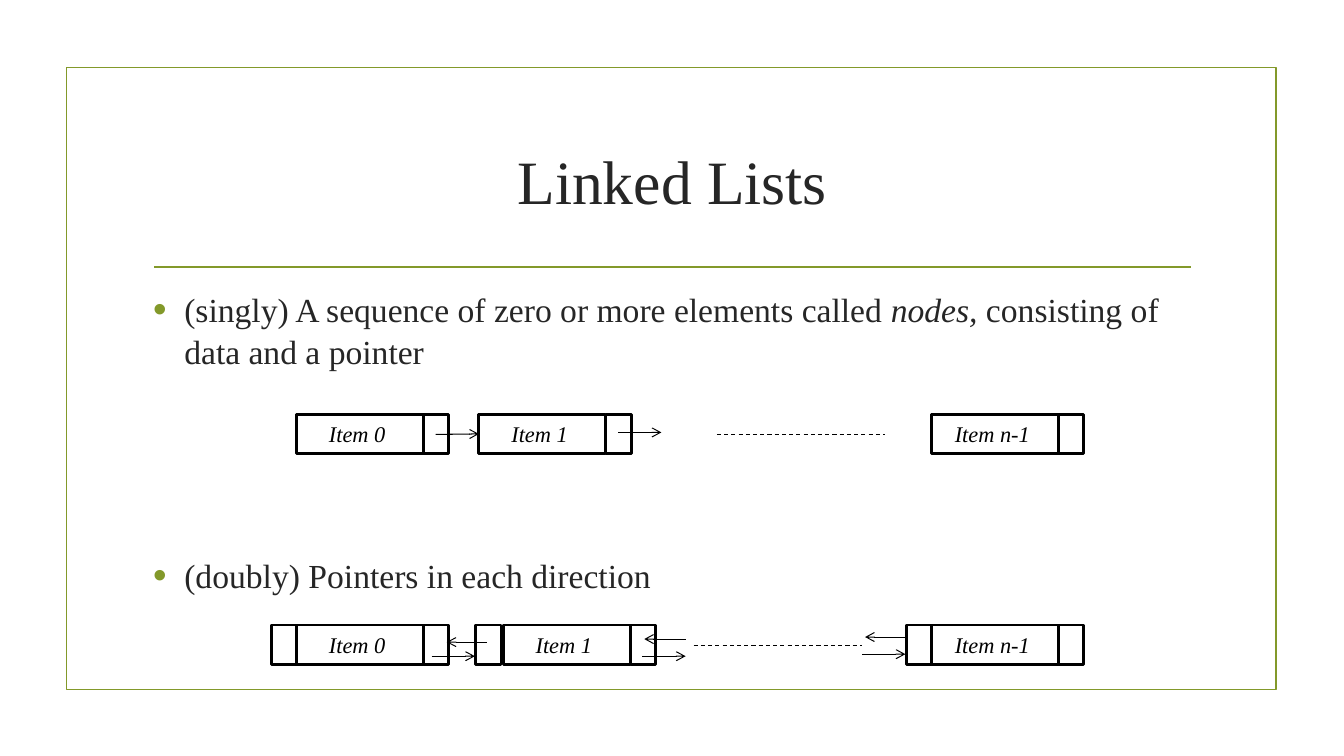
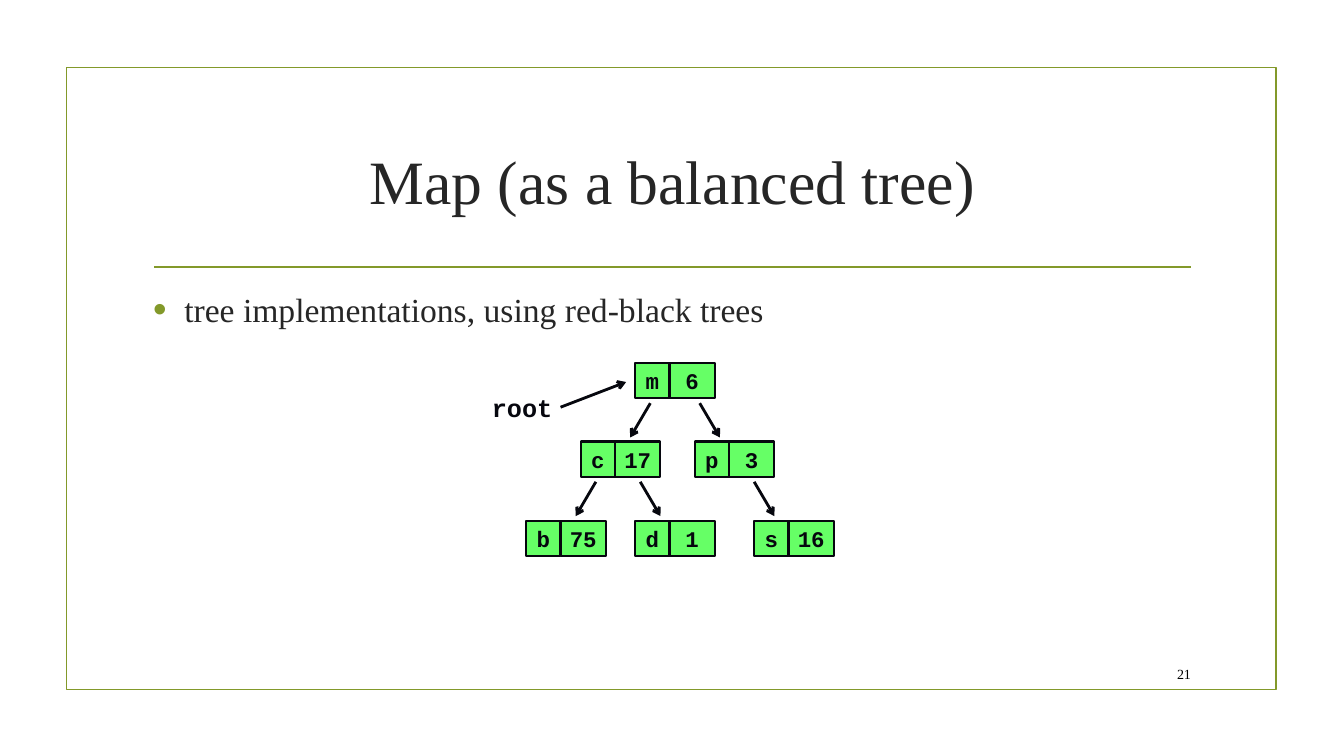
from lxml.etree import SubElement
from pptx import Presentation
from pptx.dml.color import RGBColor
from pptx.enum.dml import MSO_LINE
from pptx.enum.shapes import MSO_CONNECTOR, MSO_SHAPE
from pptx.enum.text import MSO_ANCHOR as Anchor, PP_ALIGN as Align
from pptx.oxml.ns import qn
from pptx.util import Emu, Pt

COLORS = {"olive": "83992A", "text": "262626", "black": "000000",
          "ink": "06070E", "green": "66FF66"}
SERIF, MONO = "Times New Roman", "Courier New"
TITLE_ONLY = 5
EMU_PER_PX = 9144


def px(length):
    """Turn px (100 to the inch) into EMU."""
    return Emu(length * EMU_PER_PX)


def rgb(name):
    """Look up a named colour."""
    return RGBColor.from_string(COLORS[name])


def add_span(para, text, size=24, color="text", font=SERIF, bold=False, italic=False):
    """Add one formatted run to a paragraph."""
    span = para.add_run()
    span.text = text
    span.font.name, span.font.size = font, Pt(size)
    span.font.bold, span.font.italic = bold, italic
    span.font.color.rgb = rgb(color)


class Deck:
    """Holds the shared style and the current page."""

    def __init__(self):
        """Start a widescreen deck."""
        self.deck = Presentation()
        self.deck.slide_width, self.deck.slide_height = px(1333), px(750)
        self.page = None

    def add_page(self, title):
        """Start a page with its frame, rule and title."""
        self.page = self.deck.slides.add_slide(self.deck.slide_layouts[TITLE_ONLY])
        self.add_box(66, 67, 1200, 617, line="olive", width=1.25)
        self.add_line((153, 265), (1181, 265), color="olive", width=1.25)
        box = self.page.shapes.title
        box.left, box.top, box.width, box.height = map(px, (142, 107, 1050, 143))
        frame = box.text_frame
        frame.vertical_anchor = Anchor.MIDDLE
        para = frame.paragraphs[0]
        para.alignment = Align.CENTER
        add_span(para, title, size=44)

    def add_box(self, left, top, width_px, height, text="", fill=None,
                line="black", width=2, **style):
        """Draw a rectangle with optional centred text."""
        box = self.page.shapes.add_shape(
            MSO_SHAPE.RECTANGLE, *map(px, (left, top, width_px, height)))
        box.shadow.inherit = False
        if fill:
            box.fill.solid()
            box.fill.fore_color.rgb = rgb(fill)
        else:
            box.fill.background()
        box.line.color.rgb, box.line.width = rgb(line), Pt(width)
        if text:
            frame = box.text_frame
            frame.vertical_anchor = Anchor.MIDDLE
            frame.margin_left = frame.margin_right = 0
            para = frame.paragraphs[0]
            para.alignment = Align.CENTER
            add_span(para, text, size=16, **style)
        return box

    def add_line(self, start, end, color="black", width=0.75, arrow=False,
                 dashed=False, target=None):
        """Draw a line, optionally joined to the left side of a target."""
        line = self.page.shapes.add_connector(
            MSO_CONNECTOR.STRAIGHT, *map(px, (*start, *end)))
        line.line.color.rgb, line.line.width = rgb(color), Pt(width)
        if dashed:
            line.line.dash_style = MSO_LINE.DASH
        if arrow:
            SubElement(line.line._get_or_add_ln(), qn("a:tailEnd"), type="arrow")
        SubElement(line._element.spPr, qn("a:effectLst"))
        if target is not None:
            line.end_connect(target, 1)

    def add_text(self, left, top, width, height, text="", wrap=True,
                 align=Align.LEFT, anchor=Anchor.TOP, **style):
        """Add a text box and return its frame."""
        box = self.page.shapes.add_textbox(*map(px, (left, top, width, height)))
        frame = box.text_frame
        frame.word_wrap, frame.vertical_anchor = wrap, anchor
        frame.paragraphs[0].alignment = align
        if text:
            add_span(frame.paragraphs[0], text, **style)
        return frame

    def add_bullets(self, items):
        """Write the body from (space before, spans) items."""
        frame = self.add_text(142, 280, 1050, 363)
        for index, (before, spans) in enumerate(items):
            para = frame.add_paragraph() if index else frame.paragraphs[0]
            para.line_spacing = 1.04
            para.space_before, para.space_after = Pt(before), Pt(6)
            props = para._p.get_or_add_pPr()
            props.set("marL", str(px(31)))
            props.set("indent", str(px(-31)))
            color = SubElement(props, qn("a:buClr"))
            SubElement(color, qn("a:srgbClr"), val=COLORS["olive"])
            SubElement(props, qn("a:buSzPct"), val="115000")
            SubElement(props, qn("a:buFont"), typeface="Arial")
            SubElement(props, qn("a:buChar"), char="•")
            for text, italic in spans:
                add_span(para, text, italic=italic)

    def add_list_node(self, left, top, label, back=None):
        """Draw a data box, its next cell and perhaps its back cell."""
        item = self.add_box(left, top, 126, 39, label, color="black", italic=True)
        self.add_box(left + 126, top, 25, 39)
        if back is not None:
            self.add_box(back, top, 25, 39)
        return item

    def add_tree_node(self, left, top, key, value):
        """Draw a key cell and a value cell side by side."""
        for x, width, text in ((left, 34, key), (left + 34, 45, value)):
            self.add_box(x, top, width, 35, text, fill="green", line="ink",
                         width=1.5, color="ink", font=MONO, bold=True)


def build_linked_lists(deck):
    """Show singly and doubly linked lists."""
    deck.add_page("Linked Lists")
    deck.add_bullets([
        (5, [("(singly) A sequence of zero or more elements called ", False),
             ("nodes, ", True), ("consisting of data and a pointer", False)]),
        (124, [("(doubly) Pointers in each direction", False)]),
    ])
    _, second, _ = [deck.add_list_node(left, 411, label) for left, label in
                    ((294, "Item 0 "), (475, "Item 1 "), (924, "Item n-1 "))]
    deck.add_line((432, 431), (475, 430), arrow=True, target=second)
    deck.add_line((613, 429), (656, 429), arrow=True)

    for left, label, back in ((294, "Item 0 ", 269), (499, "Item 1 ", 472),
                              (924, "Item n-1 ", 899)):
        deck.add_list_node(left, 620, label, back)
    for start, end, y in ((428, 471, 651), (637, 680, 651), (483, 443, 637),
                          (680, 639, 634), (855, 898, 649), (898, 858, 632)):
        deck.add_line((start, y), (end, y), arrow=True)
    for left, y in ((711, 431), (688, 640)):
        deck.add_line((left, y), (left + 167, y), dashed=True)


def build_map(deck):
    """Show a map stored as a balanced tree."""
    deck.add_page("Map (as a balanced tree)")
    deck.add_bullets([(5, [("tree implementations, using red-black trees", False)])])
    deck.add_text(1132, 653, 59, 31, "21", align=Align.RIGHT, anchor=Anchor.MIDDLE,
                  size=10, color="black")
    deck.add_text(478, 384, 80, 40, "root", wrap=False, size=18, color="ink",
                  font=MONO, bold=True)
    pointer = {"color": "ink", "width": 2, "arrow": True}
    deck.add_line((556, 404), (621, 379), **pointer)
    levels = (
        (360, [(630, "m", "6")], [(645, -20), (694, 20)]),
        (438, [(576, "c", "17"), (689, "p", "3")],
         [(591, -20), (635, 20), (748, 20)]),
        (517, [(522, "b", "75"), (630, "d", "1"), (748, "s", "16")], []),
    )
    for top, nodes, pointers in levels:
        for left, key, value in nodes:
            deck.add_tree_node(left, top, key, value)
        for x, run in pointers:
            deck.add_line((x, top + 40), (x + run, top + 74), **pointer)


def main():
    """Build and save the deck."""
    deck = Deck()
    build_linked_lists(deck)
    build_map(deck)
    deck.deck.save("out.pptx")


if __name__ == "__main__":
    main()
